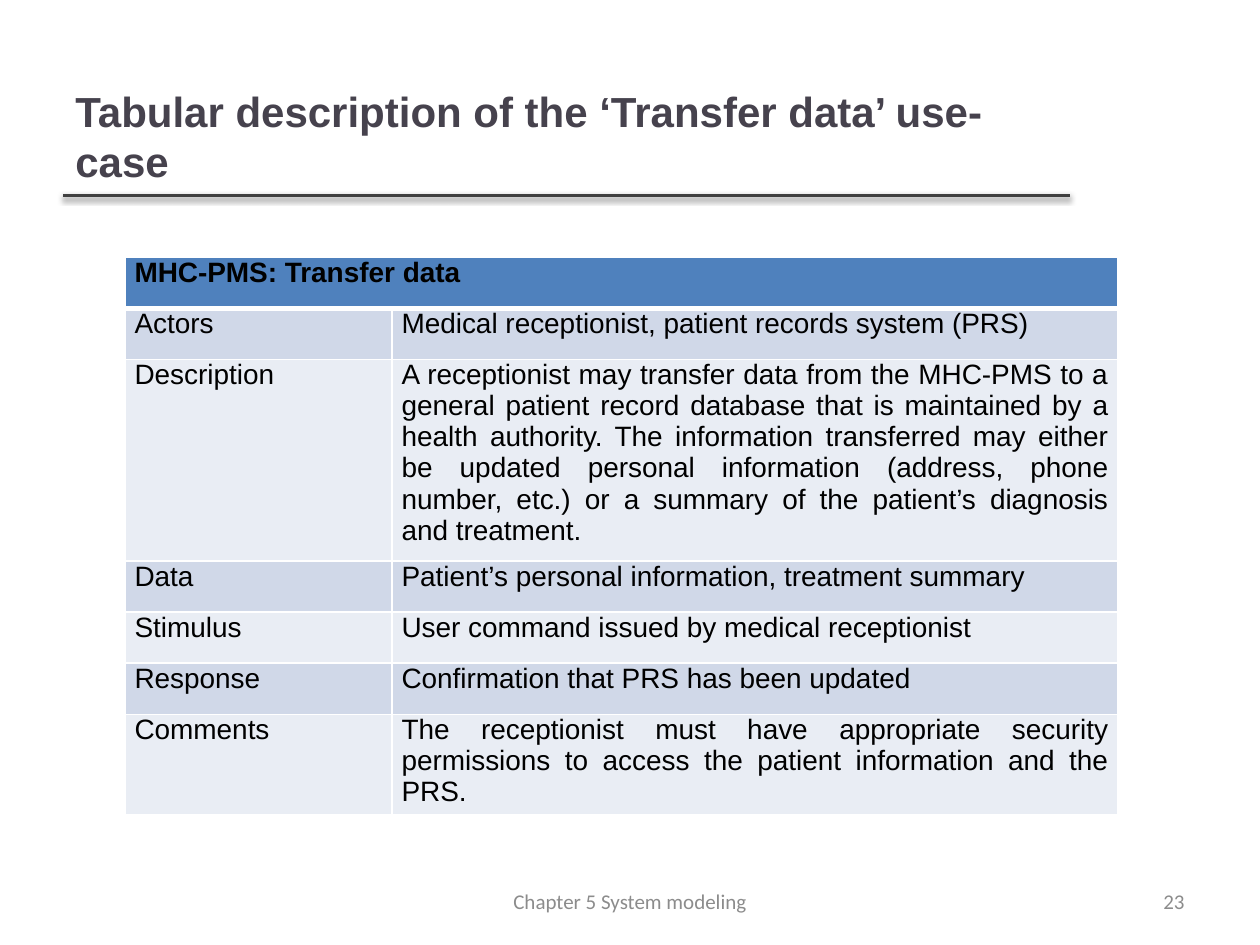
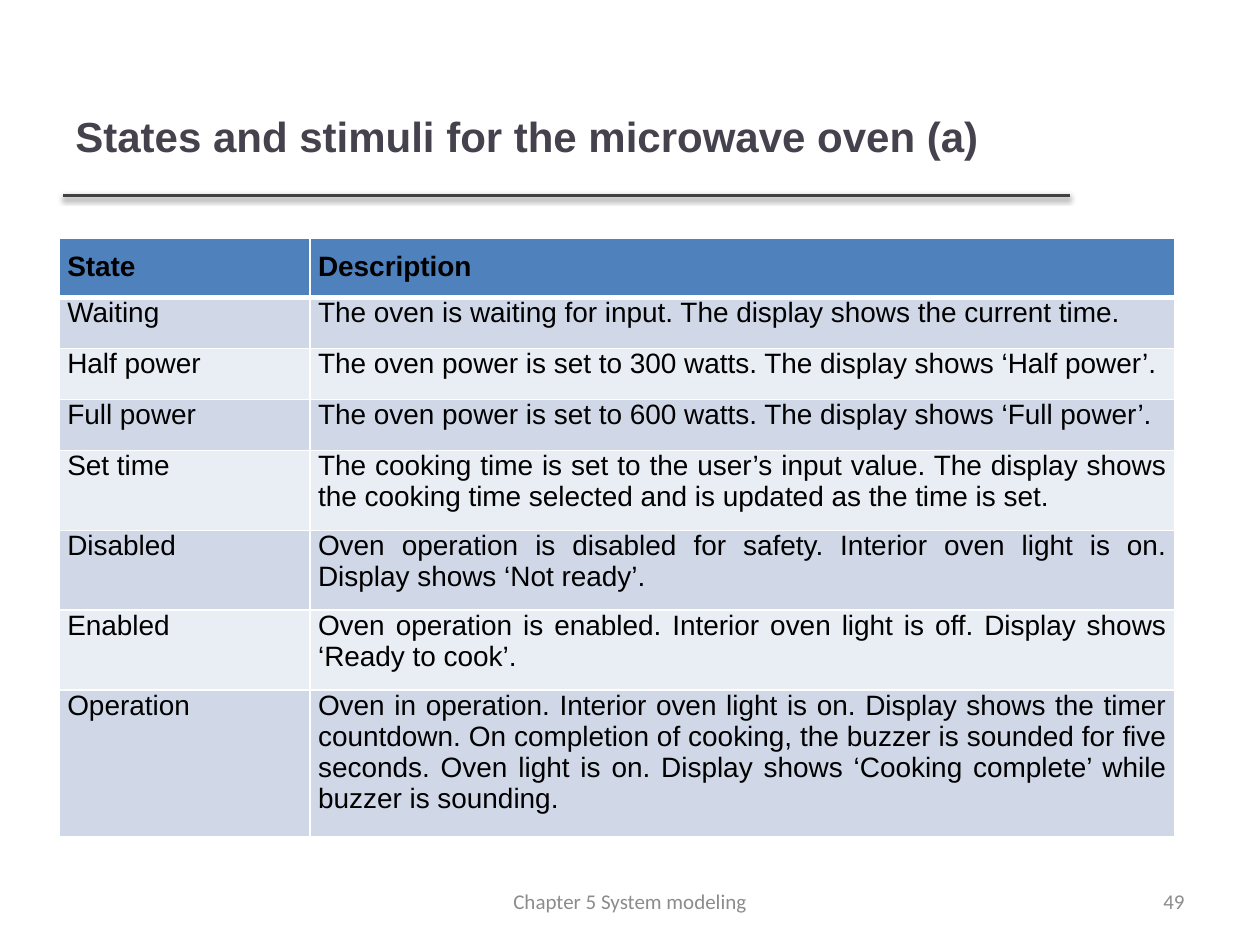
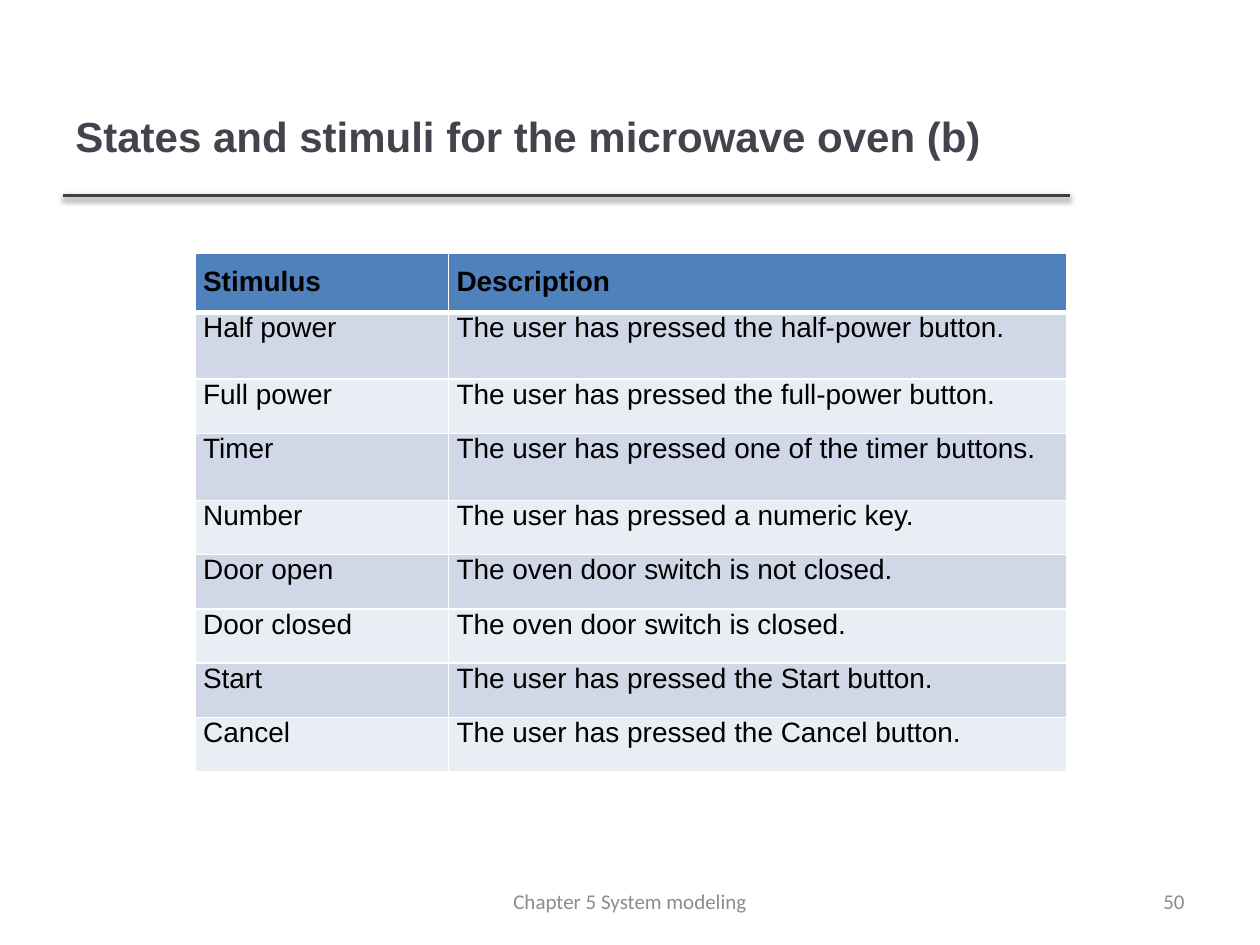
from pptx import Presentation
from pptx.dml.color import RGBColor
from pptx.enum.shapes import MSO_CONNECTOR
from pptx.enum.text import MSO_ANCHOR, PP_ALIGN
from pptx.oxml import parse_xml
from pptx.oxml.ns import nsdecls
from pptx.util import Pt


def color(hex_code):
    return RGBColor.from_string(hex_code)


class Deck:
    """Style of the chapter's slides and the slide being filled."""

    INK, TITLE, RULE, MUTED = "000000", "46424D", "404040", "8C8C8C"
    HEADER, BANDS, GRID = "4F81BD", ("D0D8E8", "E9EDF4"), "FFFFFF"
    BODY_FONT, FOOTER_FONT = "Arial", "Calibri"
    FOOTER_TOP, FOOTER_HEIGHT = 500.5, 28.75

    def __init__(self):
        self.presentation = Presentation()
        self.presentation.slide_width = Pt(720)
        self.presentation.slide_height = Pt(540)
        self.slide = None

    def add_slide(self, title, number):
        self.slide = self.presentation.slides.add_slide(self.presentation.slide_layouts[6])
        self.rule()
        self.text(title, (36, 21.6, 574.5, 111.6), 24, self.TITLE, self.BODY_FONT, bold=True)
        self.footer(str(number), 516, 168, PP_ALIGN.RIGHT)
        self.footer("Chapter 5 System modeling", 246, 228, PP_ALIGN.CENTER)

    def style(self, paragraph, size, ink, font, bold, align):
        paragraph.alignment = align
        for run in paragraph.runs:
            run.font.size = Pt(size)
            run.font.name = font
            run.font.bold = bold
            run.font.color.rgb = color(ink)

    def text(self, words, box, size, ink, font, bold=False, align=PP_ALIGN.LEFT):
        frame = self.slide.shapes.add_textbox(*map(Pt, box)).text_frame
        frame.word_wrap = True
        frame.vertical_anchor = MSO_ANCHOR.MIDDLE
        frame.text = words
        self.style(frame.paragraphs[0], size, ink, font, bold, align)

    def footer(self, words, left, width, align):
        box = (left, self.FOOTER_TOP, width, self.FOOTER_HEIGHT)
        self.text(words, box, 12, self.MUTED, self.FOOTER_FONT, align=align)

    def rule(self):
        rule = self.slide.shapes.add_connector(
            MSO_CONNECTOR.STRAIGHT, Pt(36), Pt(111.6), Pt(611.3), Pt(111.6))
        rule.line.color.rgb = color(self.RULE)
        rule.line.width = Pt(2)
        rule._element.spPr.append(parse_xml(
            f'<a:effectLst {nsdecls("a")}><a:outerShdw blurRad="{Pt(3.1)}" dist="{Pt(1.6)}" '
            'dir="5400000" rotWithShape="0"><a:srgbClr val="000000"><a:alpha val="38000"/>'
            '</a:srgbClr></a:outerShdw></a:effectLst>'))

    def borders(self, cell, top, bottom):
        properties = cell._tc.get_or_add_tcPr()
        for side, width in zip("LRTB", (1, 1, top, bottom)):
            properties.append(parse_xml(
                f'<a:ln{side} {nsdecls("a")} w="{Pt(width)}"><a:solidFill>'
                f'<a:srgbClr val="{self.GRID}"/></a:solidFill></a:ln{side}>'))

    def cell(self, cell, words, row, side, head_pad, foot_pad):
        is_header = row == 0
        cell.margin_left = cell.margin_right = Pt(side)
        cell.margin_top = Pt(head_pad if is_header else 0)
        cell.margin_bottom = Pt(foot_pad)
        self.borders(cell, 3 if row == 1 else 1, 3 if is_header else 1)
        cell.fill.solid()
        cell.fill.fore_color.rgb = color(self.HEADER if is_header else self.BANDS[(row - 1) % 2])
        cell.text_frame.text = words
        self.style(cell.text_frame.paragraphs[0], 16, self.INK, self.BODY_FONT,
                   is_header, PP_ALIGN.JUSTIFY)

    def table(self, entries, box, name_width, heights, side=4.5, head_pad=7.2, foot_pad=7.2):
        frame = self.slide.shapes.add_table(len(entries), 2, *map(Pt, box))
        grid = frame.table
        grid.columns[0].width = Pt(name_width)
        grid.columns[1].width = Pt(box[2] - name_width)
        for row, (entry, height) in enumerate(zip(entries, heights)):
            grid.rows[row].height = Pt(height)
            for column, words in enumerate(entry):
                self.cell(grid.cell(row, column), words, row, side, head_pad, foot_pad)
            if not entry[-1]:
                grid.cell(row, 0).merge(grid.cell(row, 1))
        frame.height = Pt(box[3])


TRANSFER_DATA = [
    ("MHC-PMS: Transfer data", ""),
    ("Actors", "Medical receptionist, patient records system (PRS)"),
    ("Description",
     "A receptionist may transfer data from the MHC-PMS to a general patient record database "
     "that is maintained by a health authority. The information transferred may either be "
     "updated personal information (address, phone number, etc.) or a summary of the "
     "patient’s diagnosis and treatment."),
    ("Data", "Patient’s personal information, treatment summary"),
    ("Stimulus", "User command issued by medical receptionist"),
    ("Response", "Confirmation that PRS has been updated"),
    ("Comments",
     "The receptionist must have appropriate security permissions to access the patient "
     "information and the PRS."),
]

STATES = [
    ("State", "Description"),
    ("Waiting", "The oven is waiting for input. The display shows the current time."),
    ("Half power", "The oven power is set to 300 watts. The display shows ‘Half power’."),
    ("Full power", "The oven power is set to 600 watts. The display shows ‘Full power’."),
    ("Set time",
     "The cooking time is set to the user’s input value. The display shows the cooking time "
     "selected and is updated as the time is set."),
    ("Disabled",
     "Oven operation is disabled for safety. Interior oven light is on. "
     "Display shows ‘Not ready’."),
    ("Enabled",
     "Oven operation is enabled. Interior oven light is off. "
     "Display shows ‘Ready to cook’."),
    ("Operation",
     "Oven in operation. Interior oven light is on. Display shows the timer countdown. "
     "On completion of cooking, the buzzer is sounded for five seconds. Oven light is on. "
     "Display shows ‘Cooking complete’ while buzzer is sounding."),
]

STIMULI = [
    ("Stimulus", "Description"),
    ("Half power", "The user has pressed the half-power button."),
    ("Full power", "The user has pressed the full-power button."),
    ("Timer", "The user has pressed one of the timer buttons."),
    ("Number", "The user has pressed a numeric key."),
    ("Door open", "The oven door switch is not closed."),
    ("Door closed", "The oven door switch is closed."),
    ("Start", "The user has pressed the Start button."),
    ("Cancel", "The user has pressed the Cancel button."),
]

deck = Deck()

deck.add_slide("Tabular description of the ‘Transfer data’ use-case", 23)
deck.table(TRANSFER_DATA, (71.5, 147, 567.4, 319), 152.6, [29.2] * len(TRANSFER_DATA),
           side=5.4, head_pad=0, foot_pad=0)

deck.add_slide("States and stimuli for the microwave oven (a)", 49)
deck.table(STATES, (34, 136.2, 637.2, 342), 143.3, [29.2] * len(STATES))

deck.add_slide("States and stimuli for the microwave oven (b)", 50)
deck.table(STIMULI, (111.6, 144.8, 498.2, 296), 144.8, [31, 38.3, 31, 38.3] + [31] * 5)

deck.presentation.save("out.pptx")
